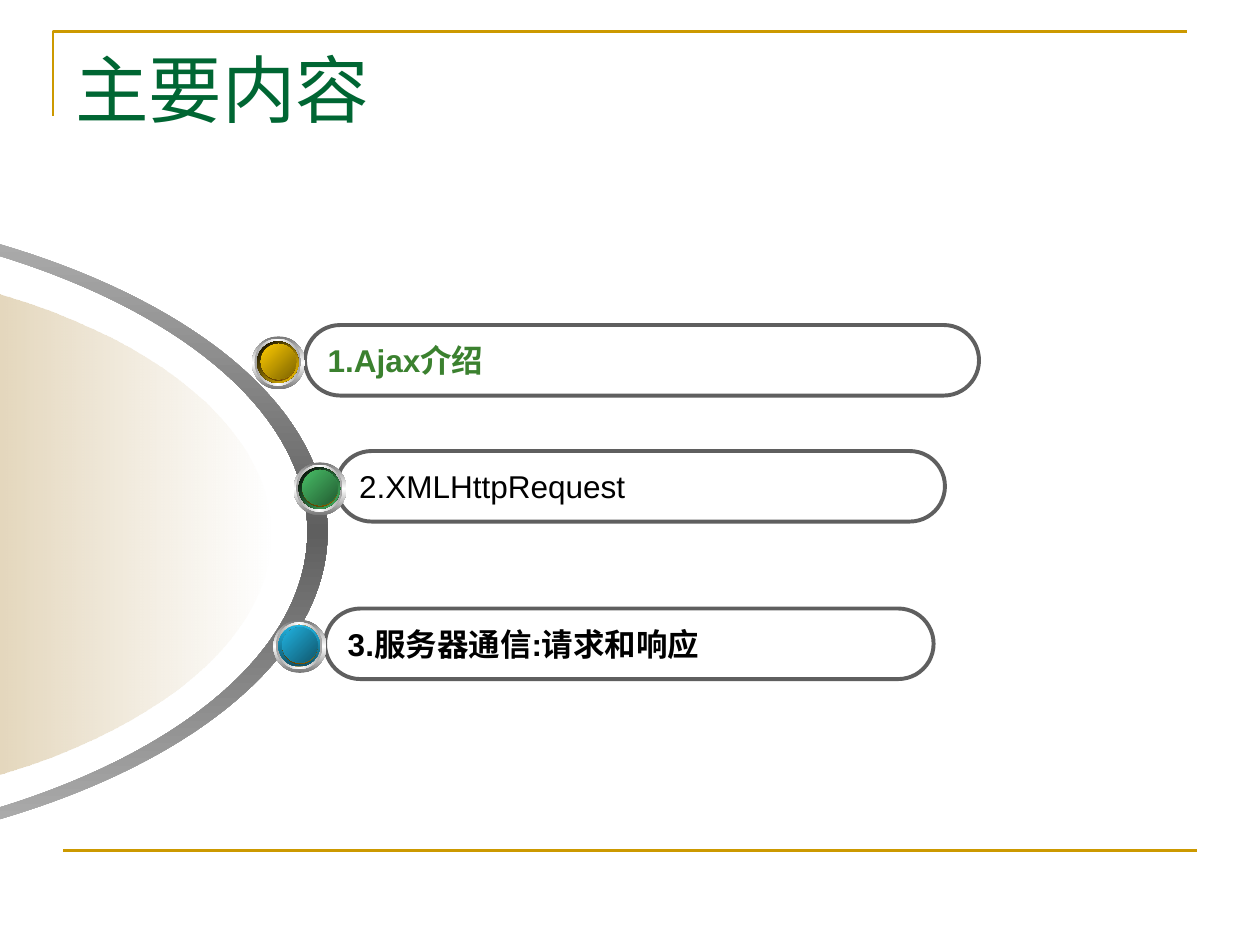
from lxml.etree import SubElement
from pptx import Presentation
from pptx.dml.color import RGBColor
from pptx.enum.shapes import MSO_CONNECTOR, MSO_SHAPE
from pptx.enum.text import MSO_ANCHOR, PP_ALIGN
from pptx.oxml.ns import qn
from pptx.util import Inches, Pt

# Content: text, colour, bold, button corner, pill left and width, button colours
TITLE = "主要内容"
TOPICS = [
    dict(text="1.Ajax介绍", color="3B812F", bold=True, button=(2.00, 2.67),
         pill=(2.42, 5.35), hue="FFCC00", rim=("000000", "FFCC00", 45), shade="7C6300"),
    dict(text="2.XMLHttpRequest", color="000000", bold=False, button=(2.33, 3.67),
         pill=(2.67, 4.83), hue="48BE67", rim=("000000", "48BE67", 45), shade="235C32"),
    dict(text="3.服务器通信:请求和响应", color="000000", bold=True, button=(2.17, 4.92),
         pill=(2.58, 4.83), hue="21B3E1", rim=("21B3E1", "0F5368", 90), shade="10576D"),
]

THEME = dict(
    gold="CC9900", title="006633", grey="5F5F5F", silver="B6B6B6",
    bronze="996600", brown="533700", white="FFFFFF", steel="767676", pewter="A2A2A2",
    title_size=42, topic_size=18, title_font="Times New Roman", topic_font="Arial",
    rule=1.5, outline=2.24,
)
PILL_HEIGHT, PILL_RISE = 0.56, 0.09
ROUNDNESS = 0.55  # control point distance of a quarter ellipse

deck = Presentation()
deck.slide_width, deck.slide_height = Inches(10), Inches(7.5)
slide = deck.slides.add_slide(deck.slide_layouts[6])
shapes = slide.shapes


def rgb(name):
    return RGBColor.from_string(THEME.get(name, name))


def paint_line(part, color, width):
    part.line.color.rgb = rgb(color)
    part.line.width = Pt(width)


def paint_gradient(part, colors, angle, opacities=None):
    """Spread the colours evenly along a linear gradient, without outline."""
    part.shadow.inherit = False
    part.line.fill.background()
    part.fill.gradient()
    gradient = part.fill._xPr.find(qn("a:gradFill"))
    for child in list(gradient):
        gradient.remove(child)
    stops = SubElement(gradient, qn("a:gsLst"))
    for i, color in enumerate(colors):
        stop = SubElement(stops, qn("a:gs"), pos=str(100000 * i // (len(colors) - 1)))
        tone = SubElement(stop, qn("a:srgbClr"), val=str(rgb(color)))
        stop.append(tone)
        if opacities:
            SubElement(tone, qn("a:alpha"), val=str(opacities[i] * 1000))
    SubElement(gradient, qn("a:lin"), ang=str(angle * 60000), scaled="0")


def outline(points, close):
    corners = [(Inches(x), Inches(y)) for x, y in points]
    pen = shapes.build_freeform(*corners[0])
    pen.add_line_segments(corners[1:], close=close)
    part = pen.convert_to_shape()
    part.shadow.inherit = False
    return part


def bend(part, quarters):
    """Turn the numbered straight segments into quarter ellipses."""
    segments = list(part._element.iter(qn("a:moveTo"), qn("a:lnTo")))
    ends = [(int(s[0].get("x")), int(s[0].get("y"))) for s in segments]
    for number, starts_level in quarters.items():
        (x0, y0), (x1, y1) = ends[number - 1:number + 1]
        dx, dy = ROUNDNESS * (x1 - x0), ROUNDNESS * (y1 - y0)
        if starts_level:
            controls = [(x0 + dx, y0), (x1, y1 - dy)]
        else:
            controls = [(x0, y0 + dy), (x1 - dx, y1)]
        segment = segments[number]
        curve = SubElement(segment.getparent(), qn("a:cubicBezTo"))
        for x, y in controls + [(x1, y1)]:
            SubElement(curve, qn("a:pt"), x=str(round(x)), y=str(round(y)))
        segment.getparent().replace(segment, curve)


def half_ellipse(left, middle, rx, ry):
    return [(left, middle - ry), (left + rx, middle), (left, middle + ry)]


def write(part, text, font, frame_format):
    frame = part.text_frame
    for name, value in frame_format.items():
        setattr(frame, name, value)
    paragraph = frame.paragraphs[0]
    paragraph.alignment = PP_ALIGN.LEFT
    run = paragraph.add_run()
    run.text = text
    run.font.color.rgb = rgb(font["color"])
    for name in ("name", "size", "bold"):
        setattr(run.font, name, font[name])


# Gold frame lines
corner = outline([(0.42, 0.92), (0.42, 0.25), (9.42, 0.25)], close=False)
corner.fill.background()
paint_line(corner, "gold", THEME["rule"])
footer_rule = shapes.add_connector(
    MSO_CONNECTOR.STRAIGHT, Inches(0.5), Inches(6.75), Inches(9.5), Inches(6.75))
paint_line(footer_rule, "gold", THEME["rule"])
SubElement(footer_rule._element.spPr, qn("a:effectLst"))

# Title
heading = shapes.add_textbox(Inches(0.5), Inches(0.3), Inches(9), Inches(1.25))
write(heading, TITLE,
      dict(name=THEME["title_font"], size=Pt(THEME["title_size"]), bold=False, color="title"),
      dict(word_wrap=True, vertical_anchor=MSO_ANCHOR.TOP))

# Grey ring and tinted dome
ring = outline(half_ellipse(-2.62, 4.22, 5.06, 2.56)
               + half_ellipse(-2.62, 4.22, 5.22, 2.64)[::-1], close=True)
bend(ring, {1: True, 2: False, 4: True, 5: False})
paint_gradient(ring, ("silver", "grey", "silver"), 90)
dome = outline(half_ellipse(-2.15, 4.24, 4.3, 2.2), close=True)
bend(dome, {1: True, 2: False})
paint_gradient(dome, ("bronze", "white"), 0, (56, 48))

# Topic pills, last one at the back
for topic in reversed(TOPICS):
    left, width = topic["pill"]
    top = topic["button"][1] - PILL_RISE
    pill = shapes.add_shape(MSO_SHAPE.ROUNDED_RECTANGLE, Inches(left), Inches(top),
                            Inches(width), Inches(PILL_HEIGHT))
    pill.adjustments[0] = 0.5
    pill.shadow.inherit = False
    pill.fill.background()
    paint_line(pill, "grey", THEME["outline"])
    write(pill, topic["text"],
          dict(name=THEME["topic_font"], size=Pt(THEME["topic_size"]),
               bold=topic["bold"], color=topic["color"]),
          dict(word_wrap=False, vertical_anchor=MSO_ANCHOR.MIDDLE))

# Round buttons: offset x, offset y, width, height, colours, angle
for topic in TOPICS:
    x, y = topic["button"]
    *rim, rim_angle = topic["rim"]
    layers = [
        (0, 0, 0.42, 0.42, ("steel", "white", "steel"), 90),
        (0.02, 0.02, 0.37, 0.37, ("pewter", "white", "pewter"), 0),
        (0.04, 0.04, 0.33, 0.33, ("white", "bronze", "white"), 45),
        (0.04, 0.04, 0.33, 0.33, rim, rim_angle),
        (0.07, 0.06, 0.28, 0.29, ("brown", "bronze", "brown"), 315),
        (0.07, 0.06, 0.28, 0.28, (topic["hue"], topic["shade"]), 45),
    ]
    button = shapes.add_group_shape()
    for dx, dy, width, height, colors, angle in layers:
        disc = button.shapes.add_shape(MSO_SHAPE.OVAL, Inches(x + dx), Inches(y + dy),
                                       Inches(width), Inches(height))
        paint_gradient(disc, colors, angle)

deck.save("out.pptx")
